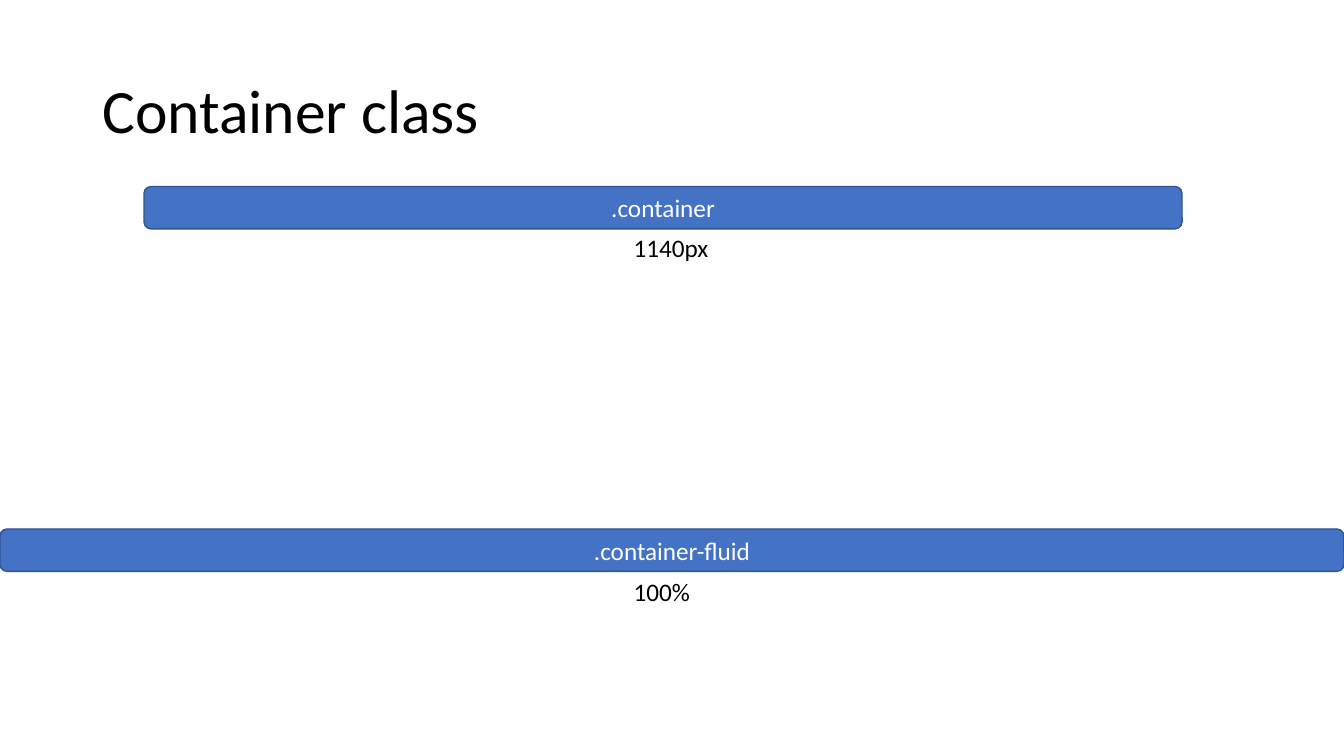
from pptx import Presentation
from pptx.dml.color import RGBColor
from pptx.enum.shapes import MSO_SHAPE
from pptx.enum.text import MSO_ANCHOR, MSO_AUTO_SIZE, PP_ALIGN
from pptx.util import Cm, Pt

BLACK = RGBColor(0x00, 0x00, 0x00)
WHITE = RGBColor(0xFF, 0xFF, 0xFF)
BLUE = RGBColor(0x44, 0x72, 0xC4)
DARK_BLUE = RGBColor(0x32, 0x54, 0x91)
SLIDE_WIDTH = 33.87
BAR_HEIGHT = 1.07


def write_text(shape, text, size, color):
    shape.text_frame.text = text
    paragraph = shape.text_frame.paragraphs[0]
    font = paragraph.runs[0].font
    font.name = "Calibri"
    font.size = Pt(size)
    font.color.rgb = color
    return paragraph


def add_title(slide, text):
    box = slide.shapes.add_textbox(Cm(2.33), Cm(1.01), Cm(29.21), Cm(3.68))
    box.text_frame.word_wrap = True
    box.text_frame.vertical_anchor = MSO_ANCHOR.MIDDLE
    paragraph = write_text(box, text, 44, BLACK)
    paragraph.line_spacing = 0.9


def add_bar(slide, text, left, top, width):
    bar = slide.shapes.add_shape(
        MSO_SHAPE.ROUNDED_RECTANGLE, Cm(left), Cm(top), Cm(width), Cm(BAR_HEIGHT)
    )
    bar.shadow.inherit = False
    bar.fill.solid()
    bar.fill.fore_color.rgb = BLUE
    bar.line.color.rgb = DARK_BLUE
    bar.line.width = Pt(1)
    bar.text_frame.vertical_anchor = MSO_ANCHOR.MIDDLE
    paragraph = write_text(bar, text, 18, WHITE)
    paragraph.alignment = PP_ALIGN.CENTER


def add_width_label(slide, text, top, width):
    box = slide.shapes.add_textbox(Cm(15.72), Cm(top), Cm(width), Cm(1.03))
    box.text_frame.word_wrap = False
    box.text_frame.auto_size = MSO_AUTO_SIZE.SHAPE_TO_FIT_TEXT
    write_text(box, text, 18, BLACK)


def main():
    deck = Presentation()
    deck.slide_width = Cm(SLIDE_WIDTH)
    deck.slide_height = Cm(19.05)
    slide = deck.slides.add_slide(deck.slide_layouts[6])
    add_title(slide, "Container class")
    add_bar(slide, ".container", 3.63, 4.7, 26.16)
    add_width_label(slide, "1140px", 5.72, 2.41)
    add_bar(slide, ".container-fluid", 0, 13.33, SLIDE_WIDTH)
    add_width_label(slide, "100%", 14.4, 1.96)
    deck.save("out.pptx")


if __name__ == "__main__":
    main()
